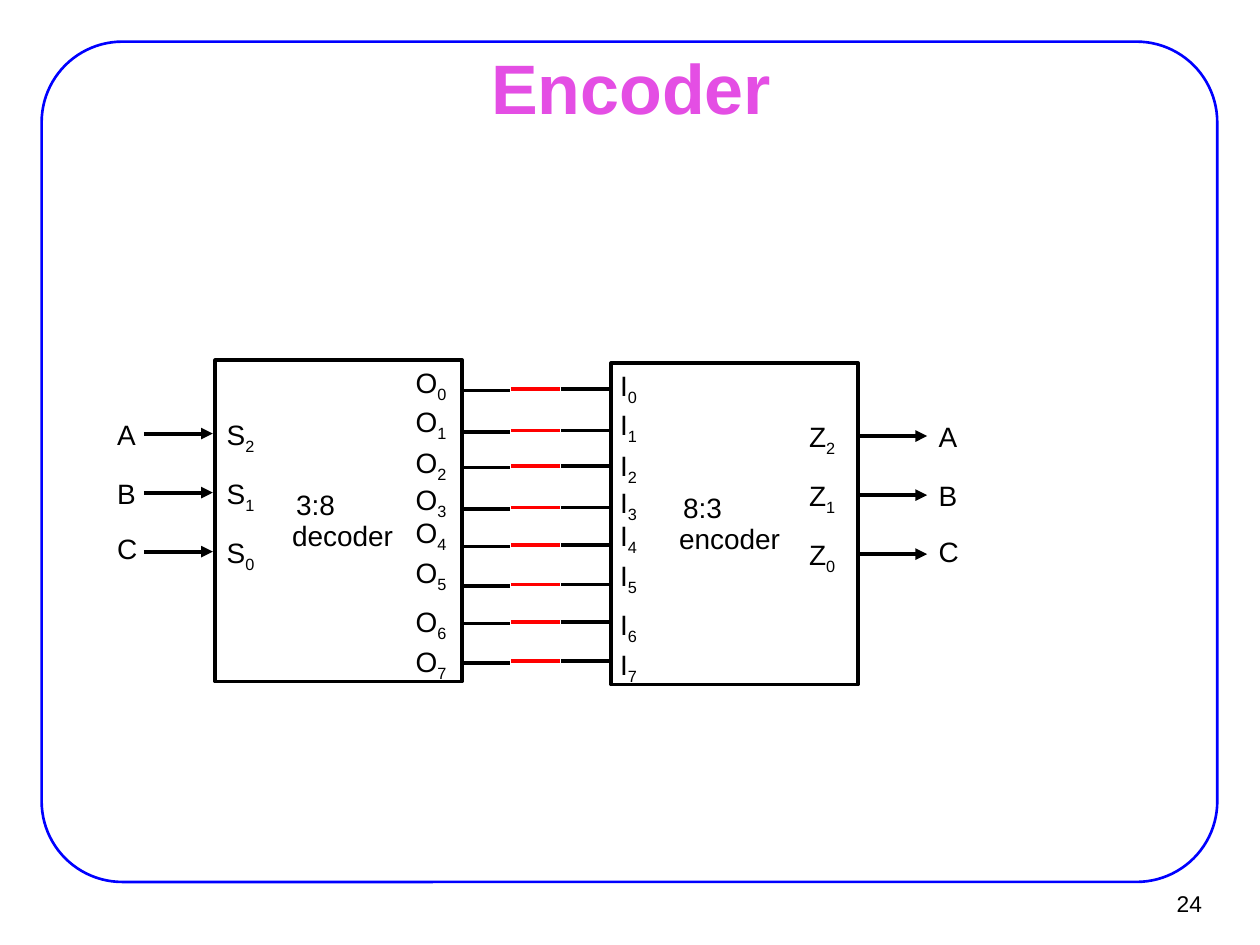
"""Build the slide on a 3:8 decoder wired to an 8:3 encoder."""
from lxml import etree
from pptx import Presentation
from pptx.dml import color
from pptx.enum import shapes, text
from pptx.oxml import ns
from pptx.util import Cm, Pt


def tint(part, hue):
    part.rgb = color.RGBColor.from_string(hue)


def write(words, x, y, w, h=0.69, sub="", size=16, hue="000000", bold=False,
          align="LEFT", anchor="TOP", pad=(0, 0), grow=True):
    box = slide.shapes.add_textbox(Cm(x), Cm(y), Cm(w), Cm(h))
    frame = box.text_frame
    frame.word_wrap = True
    frame.auto_size = text.MSO_AUTO_SIZE.SHAPE_TO_FIT_TEXT if grow else text.MSO_AUTO_SIZE.NONE
    frame.vertical_anchor = text.MSO_ANCHOR[anchor]
    frame.margin_left = frame.margin_right = Cm(pad[0])
    frame.margin_top = frame.margin_bottom = Cm(pad[1])
    para = frame.paragraphs[0]
    para.alignment = text.PP_ALIGN[align]
    for part, base in ((words, 0), (sub, -25000)):
        if part:
            run = para.add_run()
            run.text = part
            run.font.name = "Arial"
            run.font.size = Pt(size)
            run.font.bold = bold
            tint(run.font.color, hue)
            if base:
                run.font._element.set("baseline", str(base))


deck = Presentation()
deck.slide_width, deck.slide_height = Cm(25.4), Cm(19.05)
slide = deck.slides.add_slide(deck.slide_layouts[6])

frames = [
    ("ROUNDED_RECTANGLE", 0.84, 0.84, 23.7, 16.94, "0000FF", 1.5),
    ("RECTANGLE", 4.34, 7.26, 4.98, 6.48, "000000", 2),
    ("RECTANGLE", 12.32, 7.32, 4.98, 6.48, "000000", 2),
]
for kind, x, y, w, h, hue, thick in frames:
    frame = slide.shapes.add_shape(shapes.MSO_SHAPE[kind], Cm(x), Cm(y), Cm(w), Cm(h))
    frame.shadow.inherit = False
    frame.fill.background()
    tint(frame.line.color, hue)
    frame.line.width = Pt(thick)
    if kind == "ROUNDED_RECTANGLE":
        frame.adjustments[0] = 0.096

write("24", 22.91, 17.75, 1.55, 0.94, size=13, align="RIGHT", anchor="MIDDLE",
      pad=(0.23, 0.1), grow=False)
write("Encoder", 1.93, 1.12, 21.59, 1.24, size=40, hue="E44EE4", bold=True,
      align="CENTER", anchor="MIDDLE", pad=(0.28, 0.15), grow=False)

for ratio, name, x, y in (("3:8", "decoder", 5.89, 9.83), ("8:3", "encoder", 13.69, 9.88)):
    write(ratio, x + 0.08, y, 0.94)
    write(name, x, y + 0.63, 2.18)

wires = []
levels = [7.87, 8.71, 9.42, 10.26, 11.02, 11.81, 12.57, 13.36]
labels = [7.37, 8.15, 8.99, 9.73, 10.39, 11.2, 12.19, 13]
for bit, (level, label) in enumerate(zip(levels, labels)):
    write("O", 8.38, label, 0.81, sub=str(bit))
    write("I", 12.5, label + 0.06, 0.79, sub=str(bit))
    wires += [
        (9.3, 10.29, level, "000000", 2, False),
        (10.31, 11.28, level - 0.03, "FF0000", 2, False),
        (11.3, 12.29, level - 0.03, "000000", 2, False),
    ]

sides = [(2.36, 4.57, "S", 2.9, 0), (18.92, 16.31, "Z", 17.3, 0.05)]
for outer, inner, port, start, drop in sides:
    for row, (name, y) in enumerate((("A", 8.41), ("B", 9.6), ("C", 10.72))):
        write(name, outer, y + drop, 0.56)
        write(port, inner, 8.41 + 1.19 * row + drop, 0.99, sub=str(2 - row))
        wires.append((start, start + 1.39, 8.74 + 1.19 * row + drop, "000000", 2.25, True))

for left, right, y, hue, thick, head in wires:
    wire = slide.shapes.add_connector(shapes.MSO_CONNECTOR.STRAIGHT,
                                      Cm(left), Cm(y), Cm(right), Cm(y))
    tint(wire.line.color, hue)
    wire.line.width = Pt(thick)
    if head:
        etree.SubElement(wire.get_or_add_ln(), ns.qn("a:tailEnd"), type="triangle")
    etree.SubElement(wire._element.spPr, ns.qn("a:effectLst"))

deck.save("out.pptx")
